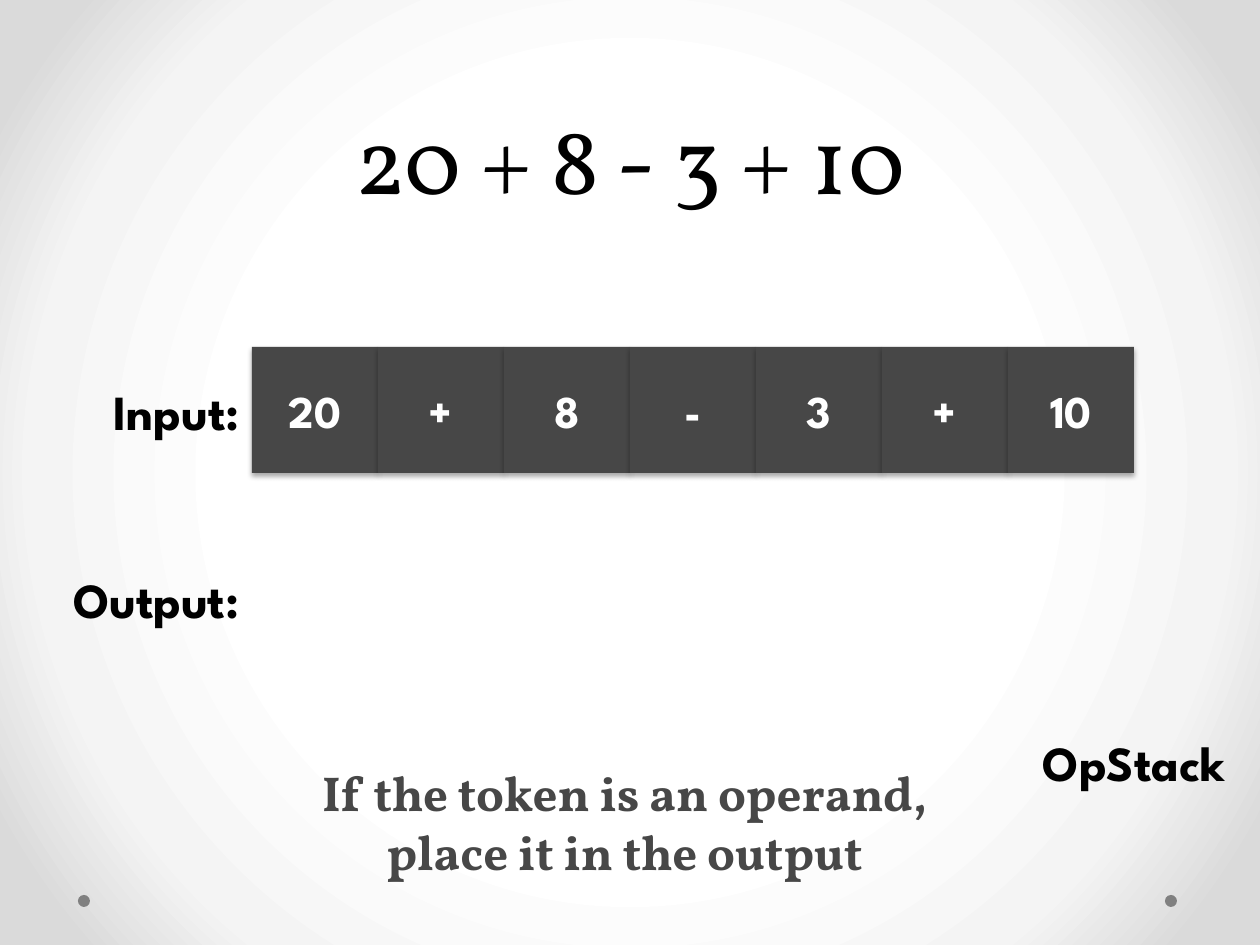
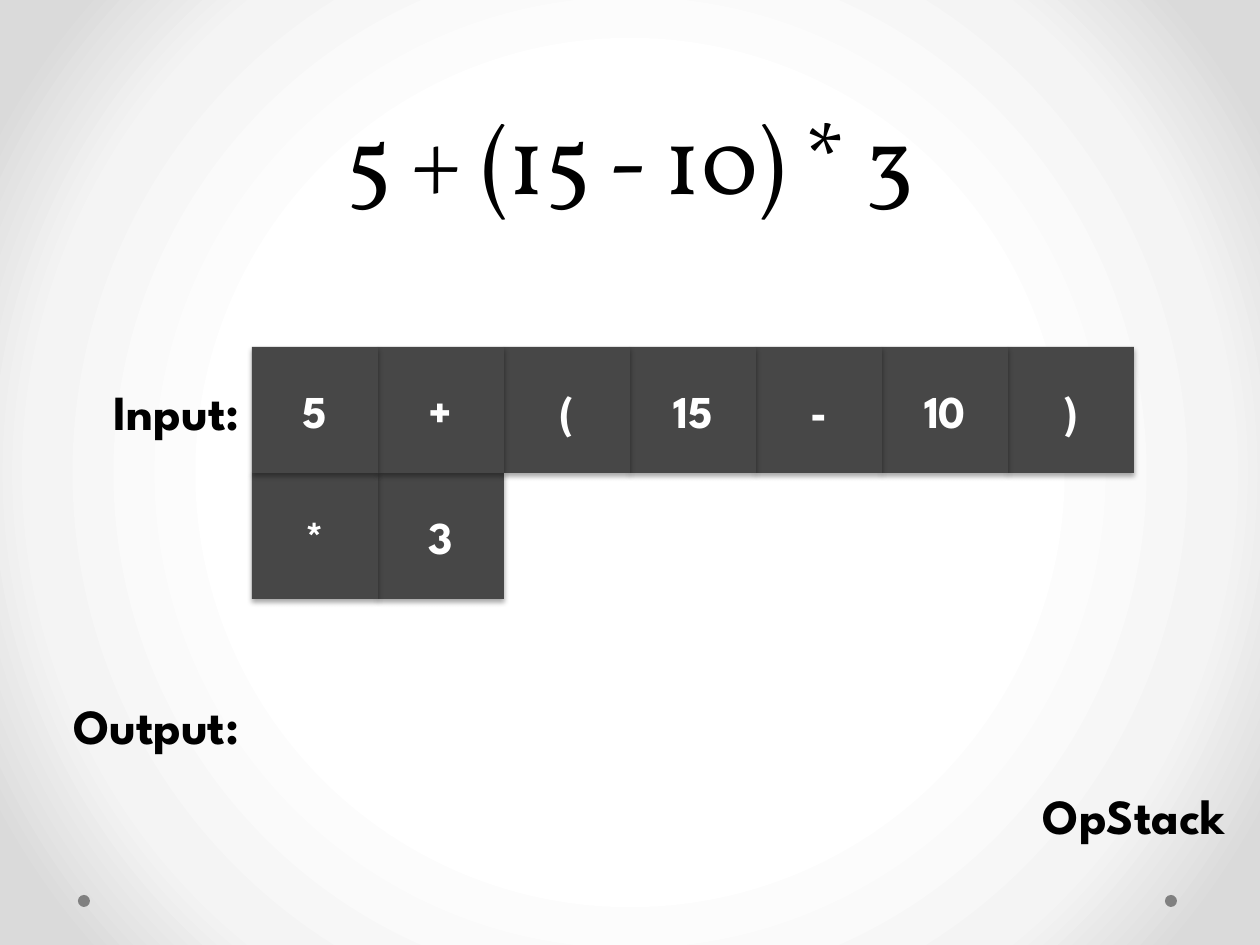
from dataclasses import dataclass

from pptx import Presentation
from pptx.dml.color import RGBColor as RGB
from pptx.enum.shapes import MSO_SHAPE as SHAPE
from pptx.enum.text import MSO_ANCHOR as ANCHOR, MSO_AUTO_SIZE as FIT, PP_ALIGN as ALIGN
from pptx.oxml import parse_xml
from pptx.oxml.ns import nsdecls, qn
from pptx.util import Emu, Pt

PX_PER_INCH = 126
TILE = 126
COLUMNS = 7
GRID_LEFT, GRID_TOP = 252, 347
DOT_SIZE, DOT_TOP = 12, 895


@dataclass(frozen=True)
class Theme:
    """Colours, fonts and type sizes of the deck."""
    ink: str = "000000"
    dark: str = "474747"
    light: str = "FFFFFF"
    dot: str = "808080"
    backdrop: tuple[tuple[int, str], ...] = ((50, "FFFFFF"), (76, "F4F4F4"), (92, "DADADA"))
    serif: str = "Vollkorn"
    sans: str = "League Spartan"
    title: int = 54
    title_line: int = 58
    label: int = 28
    token: int = 26


@dataclass(frozen=True)
class Box:
    """A rectangle in px."""
    left: int
    top: int
    width: int
    height: int

    def emu(self) -> tuple[Emu, ...]:
        """Return the four lengths in EMU."""
        return tuple(px(v) for v in (self.left, self.top, self.width, self.height))


@dataclass(frozen=True)
class Step:
    """One slide: an expression, its tokens and the labels around them."""
    expression: str
    tokens: tuple[str, ...]
    output_top: int
    stack_top: int
    note: str = ""
    first_on_top: bool = False


THEME = Theme()
STEPS = (
    Step("20 + 8 - 3 + 10", ("20", "+", "8", "-", "3", "+", "10"), 536, 726,
         note="If the token is an operand, place it in the output"),
    Step("5 + (15 - 10) * 3", ("5", "+", "(", "15", "-", "10", ")", "*", "3"), 662, 779,
         first_on_top=True),
)


def px(value: int) -> Emu:
    """Turn px into EMU."""
    return Emu(round(value * 914400 / PX_PER_INCH))


def write(tf, text: str, *, size: int, font: str = THEME.sans, color: str = THEME.ink,
          bold: bool = True, align=ALIGN.CENTER, anchor=ANCHOR.MIDDLE,
          fit=FIT.NONE, line: int | None = None) -> None:
    """Write one formatted paragraph into a text frame."""
    tf.word_wrap, tf.auto_size, tf.vertical_anchor = True, fit, anchor
    p = tf.paragraphs[0]
    p.alignment = align
    if line:
        p.line_spacing = Pt(line)
    r = p.add_run()
    r.text = text
    r.font.name, r.font.size, r.font.bold = font, Pt(size), bold
    r.font.color.rgb = RGB.from_string(color)


def add_label(s, text: str, box: Box, **fmt) -> None:
    """Add a text box that grows with its text."""
    tf = s.shapes.add_textbox(*box.emu()).text_frame
    write(tf, text, size=THEME.label, fit=FIT.SHAPE_TO_FIT_TEXT, **fmt)


def add_filled(s, kind: SHAPE, box: Box, color: str):
    """Add a preset shape with a plain fill, no line and no shadow."""
    sp = s.shapes.add_shape(kind, *box.emu())
    sp.fill.solid()
    sp.fill.fore_color.rgb = RGB.from_string(color)
    sp.line.fill.background()
    sp.shadow.inherit = False
    return sp


def add_tile(s, index: int, token: str) -> None:
    """Add the tile of one input token at its place in the grid."""
    row, col = divmod(index, COLUMNS)
    box = Box(GRID_LEFT + col * TILE, GRID_TOP + row * TILE, TILE, TILE)
    sp = add_filled(s, SHAPE.RECTANGLE, box, THEME.dark)
    sp.element.spPr.find(qn("a:effectLst")).append(parse_xml(
        f'<a:outerShdw {nsdecls("a")} blurRad="{Pt(3.1)}" dist="{Pt(1.8)}" dir="5400000" '
        f'rotWithShape="0"><a:srgbClr val="{THEME.ink}"><a:alpha val="35000"/></a:srgbClr>'
        '</a:outerShdw>'))
    write(sp.text_frame, token, size=THEME.token, color=THEME.light)


def set_backdrop(master) -> None:
    """Give the master a round gradient background."""
    master.background.fill.solid()
    bg = master.element.find(".//" + qn("p:bgPr"))
    stops = "".join(f'<a:gs pos="{pos * 1000}"><a:srgbClr val="{color}"/></a:gs>'
                    for pos, color in THEME.backdrop)
    bg.replace(bg[0], parse_xml(
        f'<a:gradFill {nsdecls("a")} rotWithShape="1"><a:gsLst>{stops}</a:gsLst>'
        '<a:path path="circle"><a:fillToRect l="50000" t="50000" r="50000" b="50000"/>'
        '</a:path></a:gradFill>'))


def add_step(prs, step: Step) -> None:
    """Add the slide of one step."""
    s = prs.slides.add_slide(prs.slide_layouts[5])
    title = s.shapes.title
    title.left, title.top, title.width, title.height = Box(63, 0, 1134, 220).emu()
    write(title.text_frame, step.expression, size=THEME.title, font=THEME.serif, bold=False,
          anchor=ANCHOR.BOTTOM, line=THEME.title_line)
    for left in (1165, 78):
        add_filled(s, SHAPE.OVAL, Box(left, DOT_TOP, DOT_SIZE, DOT_SIZE), THEME.dot)
    for text, top in (("Input:", 348), ("Output:", step.output_top)):
        add_label(s, text, Box(0, top, GRID_LEFT, TILE), align=ALIGN.RIGHT)
    add_label(s, "OpStack", Box(1008, step.stack_top, 252, 72), anchor=ANCHOR.TOP)
    tiles = list(enumerate(step.tokens))
    for index, token in reversed(tiles) if step.first_on_top else tiles:
        add_tile(s, index, token)
    if step.note:
        add_label(s, step.note, Box(273, 756, 703, 131), font=THEME.serif,
                  color=THEME.dark, anchor=ANCHOR.TOP)


def main() -> None:
    """Build and save the deck."""
    prs = Presentation()
    prs.slide_width, prs.slide_height = px(1260), px(945)
    set_backdrop(prs.slide_master)
    for step in STEPS:
        add_step(prs, step)
    prs.save("out.pptx")


if __name__ == "__main__":
    main()
